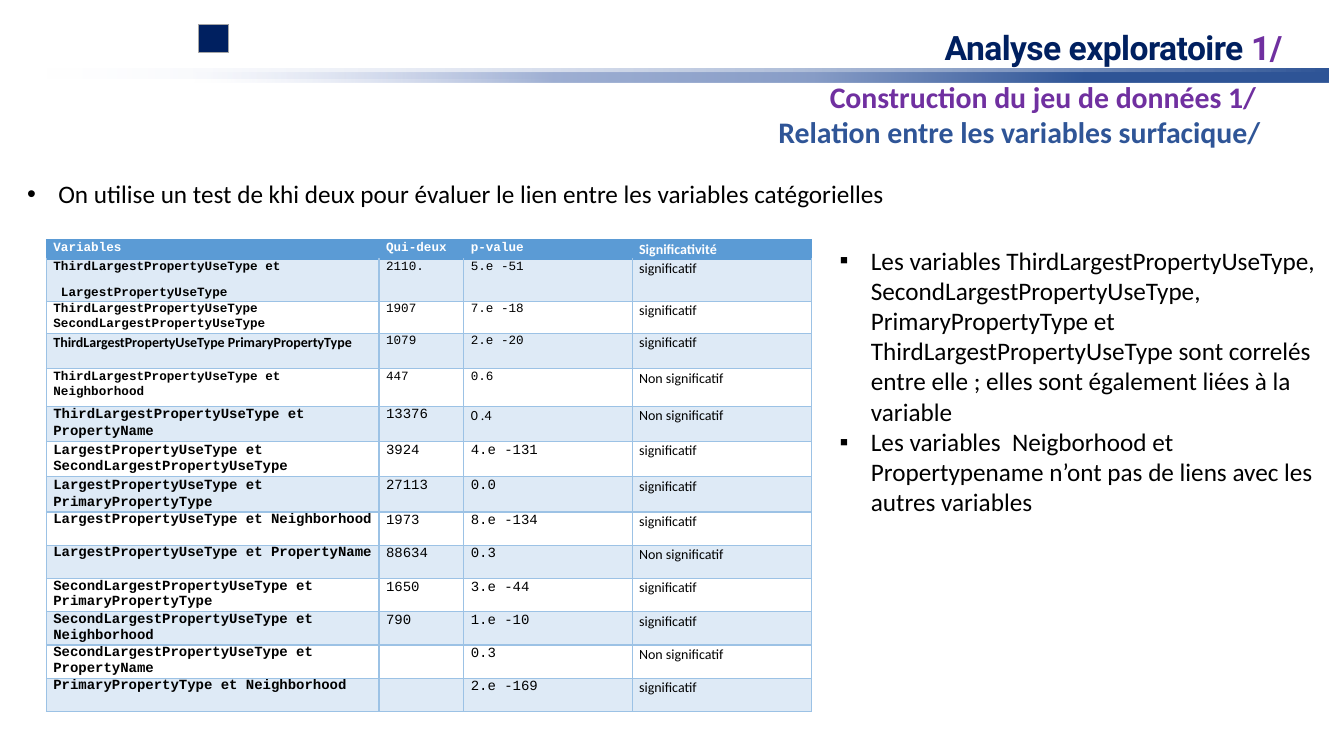
from dataclasses import dataclass

from lxml import etree
from pptx import Presentation
from pptx.dml.color import RGBColor
from pptx.enum.shapes import MSO_SHAPE
from pptx.enum.text import MSO_ANCHOR, MSO_AUTO_SIZE, PP_ALIGN
from pptx.oxml import parse_xml
from pptx.oxml.ns import nsdecls, qn
from pptx.util import Inches, Pt

RECTANGLE = MSO_SHAPE.RECTANGLE
TOP = MSO_ANCHOR.TOP
LEFT = PP_ALIGN.LEFT
NO_AUTOFIT = MSO_AUTO_SIZE.NONE

COLORS = {
    "navy": "002060", "purple": "7030A0", "blue": "2F5597", "pale": "E0E5F7",
    "mid": "889DC7", "soft": "9EAFD3", "gray": "A6A6A6", "header": "5B9BD5",
    "band": "DEEAF6", "grid": "9CC2E5", "white": "FFFFFF", "black": "000000",
}
MONO, SANS = "Courier New", "Calibri"


@dataclass
class Box:
    left: float
    top: float
    width: float
    height: float


@dataclass
class Heading:
    text: str
    color: str
    box: Box


@dataclass
class BulletList:
    bullet: str
    items: list[str]
    box: Box


@dataclass
class GradientBar:
    box: Box
    stops: list[tuple[int, str, int]]  # position, colour, opacity (percent)


@dataclass
class TestRow:
    variables: str
    chi2: str
    p_value: str
    verdict: str
    height: float
    size: int = 10
    name_font: str = MONO
    p_font: str = MONO
    name_spacing: float = 1.07


YES, NO = "significatif", "Non significatif"

HEADINGS = [
    Heading("Construction du jeu de données 1/", "purple", Box(8.23, 0.78, 4.81, 0.36)),
    Heading("Relation entre les variables surfacique/", "blue", Box(7.72, 1.13, 4.81, 0.36)),
]
BARS = [
    GradientBar(Box(0.39, 0.68, 12.79, 0.1), [(0, "blue", 100), (100, "pale", 0)]),
    GradientBar(Box(0.39, 0.72, 12.79, 0.1),
                [(19, "blue", 100), (40, "mid", 100), (60, "soft", 100), (88, "pale", 0)]),
]
LISTS = [
    BulletList("•", ["On utilise un test de khi deux pour évaluer le lien entre les variables "
                     "catégorielles"], Box(0.17, 1.72, 10.41, 0.4)),
    BulletList("▪", ["Les variables ThirdLargestPropertyUseType, SecondLargestPropertyUseType, "
                     "PrimaryPropertyType et ThirdLargestPropertyUseType sont correlés entre "
                     "elle ; elles sont également liées à la variable",
                     "Les variables  Neigborhood et Propertypename n’ont pas de liens avec les "
                     "autres variables"], Box(8.23, 2.38, 5.23, 3.43)),
]
COLUMNS = [3.3, 0.84, 1.67, 1.78]
TITLES = ["Variables", "Qui-deux", "p-value", "Significativité"]
HEADER_HEIGHT = 0.19
ROWS = [
    TestRow("ThirdLargestPropertyUseType et\n LargestPropertyUseType", "2110.", "5.e -51", YES, 0.42, 9),
    TestRow("ThirdLargestPropertyUseType SecondLargestPropertyUseType", "1907", "7.e -18", YES, 0.32, 9),
    TestRow("ThirdLargestPropertyUseType PrimaryPropertyType", "1079", "2.e -20", YES, 0.35, 9, SANS),
    TestRow("ThirdLargestPropertyUseType et Neighborhood", "447", "0.6", NO, 0.37, 9),
    TestRow("ThirdLargestPropertyUseType et PropertyName", "13376", "0 .4", NO, 0.35, p_font=SANS),
    TestRow("LargestPropertyUseType et SecondLargestPropertyUseType", "3924", "4.e -131", YES, 0.35),
    TestRow("LargestPropertyUseType et PrimaryPropertyType", "27113", "0.0", YES, 0.35),
] + [
    TestRow(*values, height=0.33, name_spacing=1.0) for values in (
        ("LargestPropertyUseType et Neighborhood", "1973", "8.e -134", YES),
        ("LargestPropertyUseType et PropertyName", "88634", "0.3", NO),
        ("SecondLargestPropertyUseType et PrimaryPropertyType", "1650", "3.e -44", YES),
        ("SecondLargestPropertyUseType et Neighborhood", "790", "1.e -10", YES),
        ("SecondLargestPropertyUseType et PropertyName", "", "0.3", NO),
        ("PrimaryPropertyType et Neighborhood", "", "2.e -169", YES),
    )
]


def rgb(color: str) -> RGBColor:
    return RGBColor.from_string(COLORS[color])


def lengths(box: Box) -> list[int]:
    return [Inches(value) for value in (box.left, box.top, box.width, box.height)]


def add_span(para, text: str, font: str, size: float, color: str, bold: bool = False):
    span = para.add_run()
    span.text = text
    for name, value in {"name": font, "size": Pt(size), "bold": bold}.items():
        setattr(span.font, name, value)
    span.font.color.rgb = rgb(color)
    return span


def format_frame(frame, **margins: float) -> None:
    for name, value in {"word_wrap": True, "auto_size": NO_AUTOFIT, "vertical_anchor": TOP}.items():
        setattr(frame, name, value)
    for side, value in margins.items():
        setattr(frame, f"margin_{side}", Inches(value))


def write_title(page) -> None:
    title = page.shapes.title
    title.left, title.top, title.width, title.height = lengths(Box(9.37, 0.31, 3.81, 0.36))
    format_frame(title.text_frame, left=0, top=0, right=0, bottom=0)
    para = title.text_frame.paragraphs[0]
    para.alignment, para.line_spacing = LEFT, Pt(26)
    for text, color in (("Analyse exploratoire ", "navy"), ("1/", "purple")):
        span = add_span(para, text, "Roboto", 24, color, True)
        span.font._element.set("spc", "-40")


def add_heading(page, heading: Heading) -> None:
    frame = page.shapes.add_textbox(*lengths(heading.box)).text_frame
    format_frame(frame, left=0, top=0, right=0, bottom=0)
    add_span(frame.paragraphs[0], heading.text, SANS, 21.3, heading.color, True)


def add_rectangle(page, box: Box):
    shape = page.shapes.add_shape(RECTANGLE, *lengths(box))
    shape.shadow.inherit = False
    return shape


def add_bar(page, bar: GradientBar) -> None:
    shape = add_rectangle(page, bar.box)
    shape.line.fill.background()
    stops = "".join(
        f'<a:gs pos="{place * 1000}"><a:srgbClr val="{COLORS[color]}">'
        f'<a:alpha val="{opacity * 1000}"/></a:srgbClr></a:gs>' for place, color, opacity in bar.stops)
    gradient = parse_xml(f'<a:gradFill {nsdecls("a")} rotWithShape="1"><a:gsLst>{stops}</a:gsLst>'
                         '<a:lin ang="10800000" scaled="0"/></a:gradFill>')
    shape._element.spPr.find(qn("a:prstGeom")).addnext(gradient)


def add_bullets(page, bullets: BulletList) -> None:
    frame = page.shapes.add_textbox(*lengths(bullets.box)).text_frame
    format_frame(frame)
    for index, item in enumerate(bullets.items):
        para = frame.add_paragraph() if index else frame.paragraphs[0]
        props = para._p.get_or_add_pPr()
        props.set("marL", str(Inches(0.31)))
        props.set("indent", str(-Inches(0.31)))
        etree.SubElement(props, qn("a:buFont")).set("typeface", "Arial")
        etree.SubElement(props, qn("a:buChar")).set("char", bullets.bullet)
        add_span(para, item, SANS, 18, "black")


def style_cell(cell, fill: str | None, border: str, top: str) -> None:
    for side, value in {"left": 0.07, "right": 0.05, "top": 0, "bottom": 0}.items():
        setattr(cell, f"margin_{side}", Inches(value))
    for edge, color in {"lnL": border, "lnR": border, "lnT": top, "lnB": border}.items():
        cell._tc.get_or_add_tcPr().append(parse_xml(
            f'<a:{edge} {nsdecls("a")} w="12700"><a:solidFill><a:srgbClr val="{COLORS[color]}"/>'
            f'</a:solidFill></a:{edge}>'))
    if fill:
        cell.fill.solid()
        cell.fill.fore_color.rgb = rgb(fill)
    else:
        cell.fill.background()


def write_cell(cell, text: str, font: str, size: float, color: str, bold: bool, spacing: float) -> None:
    for index, line in enumerate(text.split("\n") if text else []):
        para = cell.text_frame.add_paragraph() if index else cell.text_frame.paragraphs[0]
        para.line_spacing, para.space_after = spacing, Pt(8)
        add_span(para, line, font, size, color, bold)


def add_test_table(page) -> None:
    heights = [HEADER_HEIGHT] + [row.height for row in ROWS]
    area = Box(0.46, 2.38, sum(COLUMNS), sum(heights))
    table = page.shapes.add_table(len(heights), len(COLUMNS), *lengths(area)).table
    table.first_row = table.horz_banding = False
    for column, width in zip(table.columns, COLUMNS):
        column.width = Inches(width)
    for line, height in zip(table.rows, heights):
        line.height = Inches(height)

    for cell, text, font, size in zip(table.rows[0].cells, TITLES, [MONO] * 3 + [SANS], [9, 9, 9, 10]):
        style_cell(cell, "header", "header", "header")
        write_cell(cell, text, font, size, "white", True, 1.07)

    for number, row in enumerate(ROWS, start=1):
        name_size = 10 if row.name_font == SANS else row.size
        formats = [(row.variables, row.name_font, name_size, "black", True, row.name_spacing),
                   (row.chi2, MONO, row.size, "black", False, 1.07),
                   (row.p_value, row.p_font, row.size, "black", False, 1.07),
                   (row.verdict, SANS, 10, "black", False, 1.07)]
        for cell, values in zip(table.rows[number].cells, formats):
            style_cell(cell, "band" if number % 2 else None, "grid", "header" if number == 1 else "grid")
            write_cell(cell, *values)


def main() -> None:
    deck = Presentation()
    deck.slide_width, deck.slide_height = Inches(13.33), Inches(7.5)
    page = deck.slides.add_slide(deck.slide_layouts[5])

    # Title band
    write_title(page)
    for bar in BARS:
        add_bar(page, bar)
    for heading in HEADINGS:
        add_heading(page, heading)
    square = add_rectangle(page, Box(1.97, 0.24, 0.3, 0.28))
    square.fill.solid()
    square.fill.fore_color.rgb = rgb("navy")
    square.line.color.rgb = rgb("gray")
    square.line.width = Pt(0.5)

    # Test results and comments
    add_test_table(page)
    for bullets in LISTS:
        add_bullets(page, bullets)
    deck.save("out.pptx")


if __name__ == "__main__":
    main()
